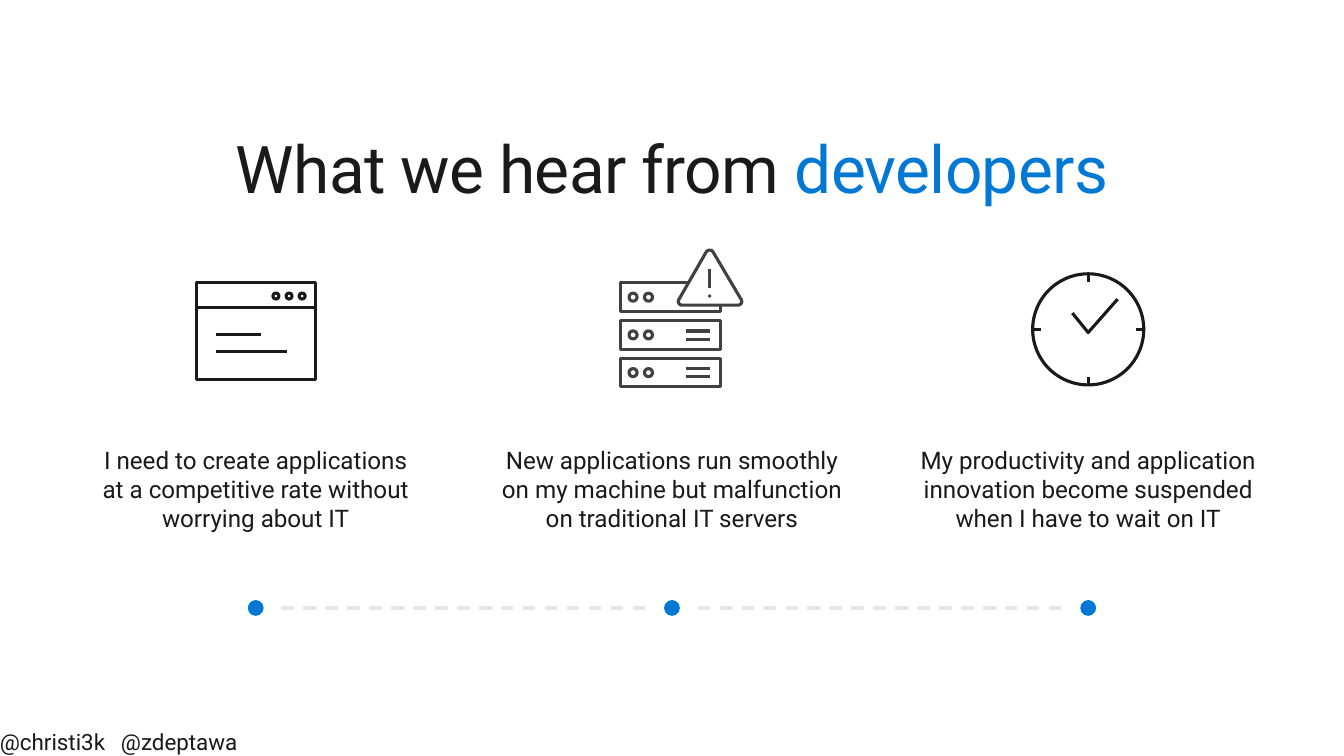
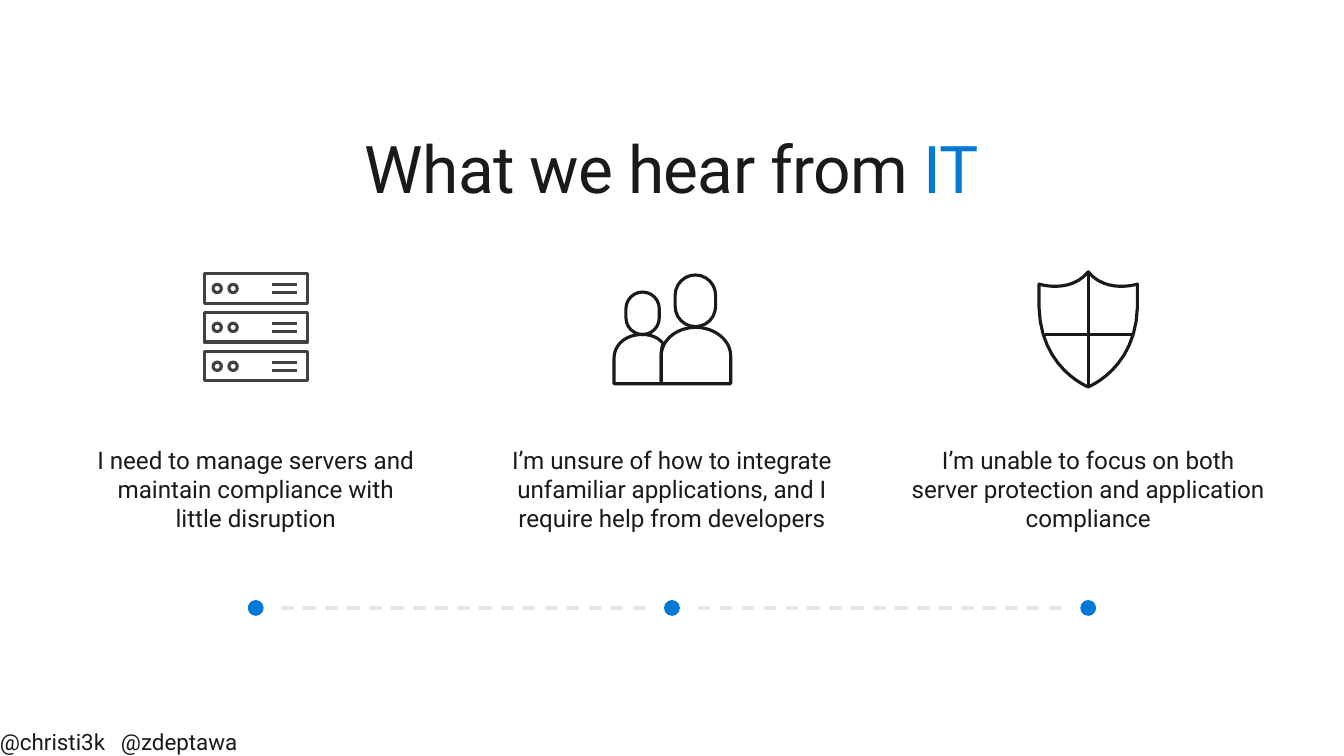
from dataclasses import dataclass

from lxml.etree import SubElement
from pptx import Presentation
from pptx.dml.color import RGBColor as RGB
from pptx.enum.dml import MSO_LINE_DASH_STYLE as Dash
from pptx.enum.shapes import MSO_CONNECTOR as Conn, MSO_SHAPE as Shape
from pptx.enum.text import PP_ALIGN as Align
from pptx.oxml.ns import qn
from pptx.util import Cm, Pt


@dataclass(frozen=True)
class Theme:
    font: str = "Roboto"
    ink: RGB = RGB(0x1A, 0x1A, 0x1A)
    grey: RGB = RGB(0x41, 0x41, 0x42)
    blue: RGB = RGB(0x00, 0x78, 0xD4)
    pale: RGB = RGB(0xE6, 0xE6, 0xE6)
    white: RGB = RGB(0xFF, 0xFF, 0xFF)
    title: float = 47
    body: float = 17.3
    foot: float = 16
    line: float = 2.25


T = Theme()
WIDE, HIGH = 33.87, 19.05
PITCH = 10.49
MIDS = [WIDE / 2 + PITCH * i for i in (-1, 0, 1)]
WIDTHS = [8.9, 9.86, 9.86]
ICON_Y, TEXT_Y, DOT_Y = 8.3, 10.82, 15.32
DOT, GAP, PAD = 0.4, 0.65, 0.4

LEAD = "What we hear from "
HANDLES = ["@christi3k", "@zdeptawa"]
SLIDES = [
    ("developers", [
        ("window", "I need to create applications at a competitive rate "
                   "without worrying about IT"),
        ("alert", "New applications run smoothly on my machine but "
                  "malfunction on traditional IT servers"),
        ("clock", "My productivity and application innovation become "
                  "suspended when I have to wait on IT"),
    ]),
    ("IT", [
        ("rack", "I need to manage servers and maintain compliance with "
                 "little disruption"),
        ("people", "I’m unsure of how to integrate unfamiliar applications, "
                   "and I require help from developers"),
        ("shield", "I’m unable to focus on both server protection and "
                   "application compliance"),
    ]),
]

# Outlines in cm from the icon centre: a pair is a line, six numbers a curve.
HANDS = [(0.74, -0.76), (0, 0.08), (-0.4, -0.41)]
SIGN = [(1.03, -1.96), (1.74, -0.76), (1.79, -0.69, 1.74, -0.61, 1.66, -0.61),
        (0.26, -0.61), (0.18, -0.61, 0.13, -0.69, 0.18, -0.76),
        (0.87, -1.96), (0.92, -2.01, 0.98, -2.01, 1.03, -1.96)]
SHIELD = [(-1.24, -1.14), (-1.24, -1.14, -0.45, -0.89, 0, -1.45),
          (0.45, -0.89, 1.24, -1.14, 1.24, -1.14), (1.24, -0.56),
          (1.2, 0.99, 0, 1.45, 0, 1.45), (0, 1.45, -1.2, 0.99, -1.24, -0.56)]
FRONT = [(0.6, -0.05), (0.11, -0.05, -0.27, 0.28, -0.27, 0.66),
         (-0.27, 1.37), (1.48, 1.37), (1.48, 0.66),
         (1.48, 0.28, 1.08, -0.05, 0.6, -0.05)]
BACK = [(-0.27, 0.64), (-0.27, 0.53, -0.25, 0.43, -0.22, 0.36),
        (-0.35, 0.2, -0.53, 0.13, -0.75, 0.13),
        (-1.16, 0.13, -1.46, 0.38, -1.46, 0.74), (-1.46, 1.37), (-0.27, 1.37)]


def trace(steps, count=12):
    """Turn lines and Bezier curves into a list of points."""
    points = [steps[0]]
    for step in steps[1:]:
        if len(step) == 2:
            points.append(step)
            continue
        a, b, c, d = points[-1], step[:2], step[2:4], step[4:]
        for i in range(1, count + 1):
            t = i / count
            u = 1 - t
            points.append(tuple(
                u**3 * p + 3 * u * u * t * q + 3 * u * t * t * r + t**3 * s
                for p, q, r, s in zip(a, b, c, d)))
    return points


class Pen:
    """Draws on a slide in cm, measured from an origin."""

    def __init__(self, slide, x=0, y=0, color=T.ink):
        self.shapes, self.x, self.y, self.color = slide.shapes, x, y, color

    def at(self, x, y):
        return Cm(self.x + x), Cm(self.y + y)

    def style(self, shape, fill=None, edge=True):
        shape.shadow.inherit = False
        if fill is None:
            shape.fill.background()
        else:
            shape.fill.solid()
            shape.fill.fore_color.rgb = fill
        if edge:
            self.ink(shape)
        else:
            shape.line.fill.background()
        return shape

    def ink(self, shape):
        shape.line.color.rgb = self.color
        shape.line.width = Pt(T.line)

    def box(self, x, y, w, h, kind=Shape.RECTANGLE):
        return self.style(self.shapes.add_shape(
            kind, *self.at(x, y), Cm(w), Cm(h)))

    def ring(self, x, y, size):
        return self.box(x - size / 2, y - size / 2, size, size, Shape.OVAL)

    def dot(self, x, y, size):
        self.style(self.ring(x, y, size), self.color, edge=False)

    def line(self, x1, y1, x2, y2):
        link = self.shapes.add_connector(
            Conn.STRAIGHT, *self.at(x1, y1), *self.at(x2, y2))
        self.ink(link)
        SubElement(link._element.spPr, qn("a:effectLst"))
        return link

    def outline(self, steps, close=True, fill=None):
        first, *rest = [self.at(*point) for point in trace(steps)]
        form = self.shapes.build_freeform(*first)
        form.add_line_segments(rest, close=close)
        self.style(form.convert_to_shape(), fill)


def window(pen):
    pen.box(-1.5, -1.17, 3, 2.43)
    pen.line(-1.5, -0.56, 1.5, -0.56)
    for i in range(3):
        pen.ring(0.51 + 0.33 * i, -0.84, 0.15)
    pen.line(-0.99, 0.56, 0.79, 0.56)
    pen.line(-0.99, 0.13, 0.13, 0.13)


def rack(pen, top=-1.4, zoom=1):
    pen.color = T.grey
    left = -1.3
    for i in range(3):
        y = top + 0.98 * zoom * i
        pen.box(left, y, 2.6 * zoom, 0.74 * zoom)
        for x in (0.33, 0.73):
            pen.ring(left + x * zoom, y + 0.37 * zoom, 0.21 * zoom)
        for down in (0.27, 0.48):
            pen.line(left + 1.7 * zoom, y + down * zoom,
                     left + 2.34 * zoom, y + down * zoom)


def alert(pen):
    rack(pen, -1.17, 0.97)
    pen.outline(SIGN, fill=T.white)
    pen.line(0.95, -1.52, 0.95, -1.04)
    pen.dot(0.95, -0.84, 0.08)


def clock(pen):
    pen.ring(0, 0, 2.8)
    pen.outline(HANDS, close=False)
    for x, y in ((0, -1), (1, 0), (0, 1), (-1, 0)):
        pen.line(1.4 * x, 1.4 * y, 1.2 * x, 1.2 * y)


def people(pen):
    for spot in ((-1.16, -0.94, 0.84, 1.07), (0.08, -1.37, 1.02, 1.3)):
        pen.box(*spot, Shape.ROUNDED_RECTANGLE).adjustments[0] = 0.5
    pen.outline(FRONT)
    pen.outline(BACK)


def shield(pen):
    pen.outline(SHIELD)
    pen.line(0, -1.45, 0, 1.45)
    pen.line(-1.1, 0.13, 1.1, 0.13)


ICONS = {"window": window, "alert": alert, "clock": clock,
         "rack": rack, "people": people, "shield": shield}


def write(slide, spot, parts, size, align=Align.LEFT, pad=0, tab=None, spc=0):
    """Add a one-paragraph text box; parts are (text, colour) pairs."""
    frame = slide.shapes.add_textbox(*map(Cm, spot)).text_frame
    frame.word_wrap = True
    frame.margin_left = frame.margin_right = Cm(pad)
    frame.margin_top = frame.margin_bottom = Cm(pad)
    para = frame.paragraphs[0]
    para.alignment = align
    if tab:
        tabs = SubElement(para._p.get_or_add_pPr(), qn("a:tabLst"))
        SubElement(tabs, qn("a:tab"), pos=str(Cm(tab)), algn="l")
    para.font.name, para.font.size = T.font, Pt(size)
    para.font.color.rgb = T.ink
    for text, color in parts:
        run = para.add_run()
        run.text = text
        if color != T.ink:
            run.font.color.rgb = color
        if spc:
            run._r.get_or_add_rPr().set("spc", str(spc))


def track(slide):
    """Draw the dots and the dashed lines between them."""
    for mid in MIDS:
        Pen(slide, color=T.blue).dot(mid, DOT_Y, DOT)
    for a, b in zip(MIDS, MIDS[1:]):
        link = Pen(slide, color=T.pale).line(a + GAP, DOT_Y, b - GAP, DOT_Y)
        link.line.dash_style = Dash.DASH


def build(deck, who, needs):
    slide = deck.slides.add_slide(deck.slide_layouts[6])
    write(slide, (0.74, 3.23, 32.39, 2.01), [(LEAD, T.ink), (who, T.blue)],
          T.title, Align.CENTER, spc=-50)
    for mid, wide, (icon, text) in zip(MIDS, WIDTHS, needs):
        write(slide, (mid - wide / 2, TEXT_Y, wide, 3.07), [(text, T.ink)],
              T.body, Align.CENTER, PAD)
        ICONS[icon](Pen(slide, mid, ICON_Y))
    track(slide)
    write(slide, (0, 18.36, 13.08, 0.69), [("\t".join(HANDLES), T.ink)],
          T.foot, tab=3.05)


def main():
    deck = Presentation()
    deck.slide_width, deck.slide_height = Cm(WIDE), Cm(HIGH)
    for who, needs in SLIDES:
        build(deck, who, needs)
    deck.save("out.pptx")


if __name__ == "__main__":
    main()
